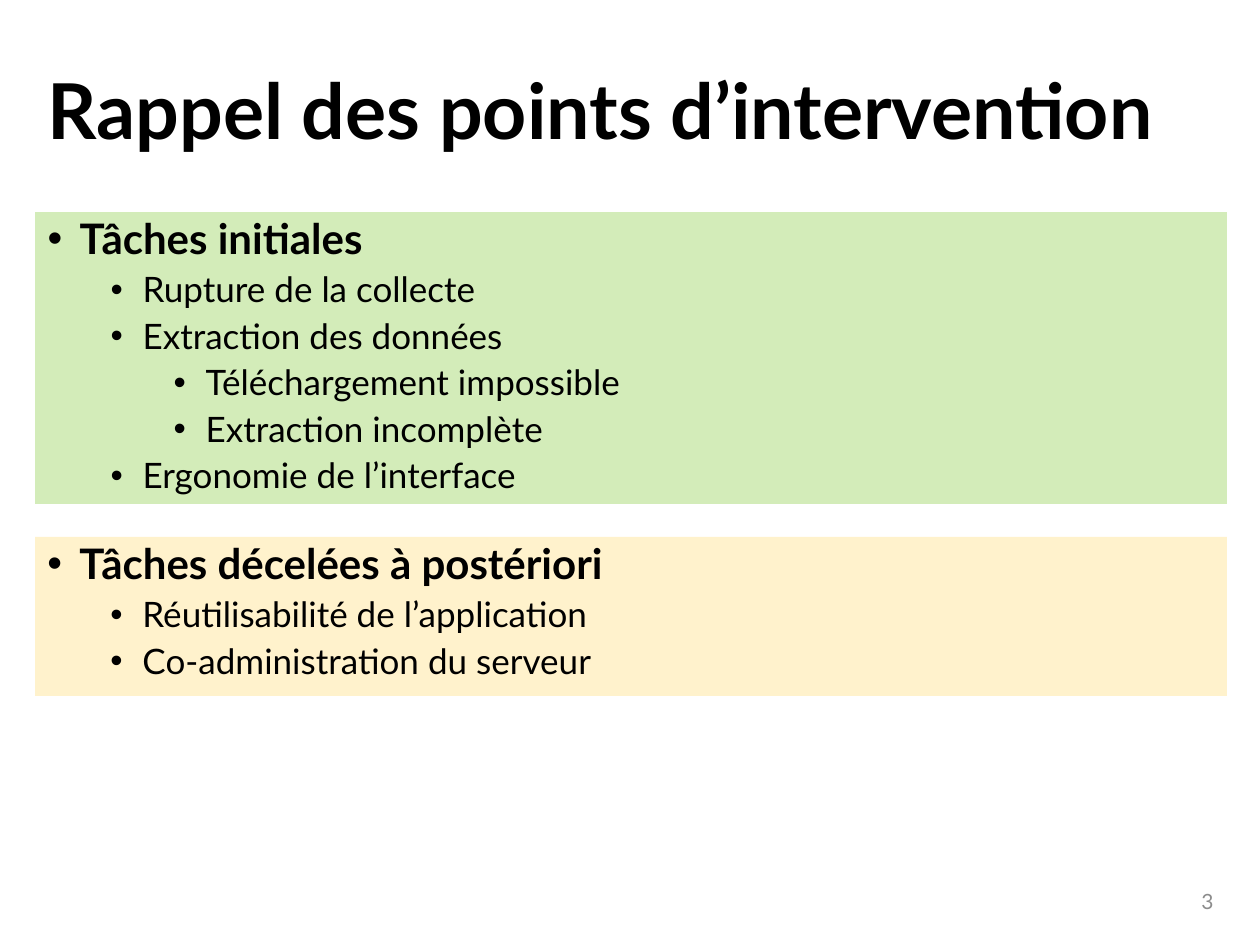
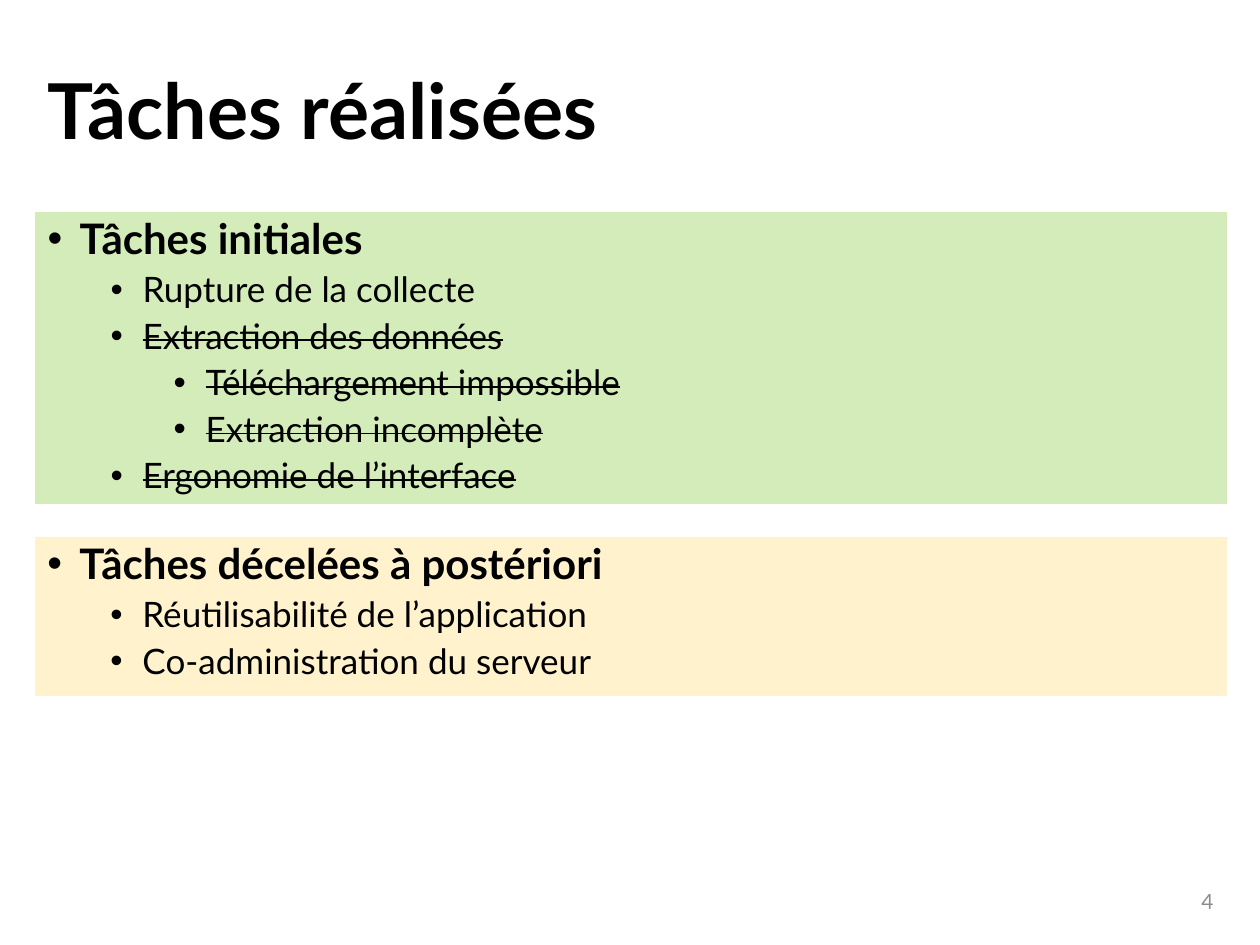
from dataclasses import dataclass

from lxml.etree import SubElement
from pptx import Presentation
from pptx.dml.color import RGBColor
from pptx.enum.text import MSO_ANCHOR, MSO_AUTO_SIZE, PP_ALIGN
from pptx.oxml.ns import qn
from pptx.util import Emu, Pt

# Content: (level, text) lists; one title and set of finished tasks per slide
INITIAL_TASKS = [
    (0, "Tâches initiales"),
    (1, "Rupture de la collecte"),
    (1, "Extraction des données"),
    (2, "Téléchargement impossible"),
    (2, "Extraction incomplète"),
    (1, "Ergonomie de l’interface"),
]
LATER_TASKS = [
    (0, "Tâches décelées à postériori"),
    (1, "Réutilisabilité de l’application"),
    (1, "Co-administration du serveur"),
]
FINISHED_TASKS = {
    "Extraction des données",
    "Téléchargement impossible",
    "Extraction incomplète",
    "Ergonomie de l’interface",
}
SLIDES = [
    ("Rappel des points d’intervention", set()),
    ("Tâches réalisées", FINISHED_TASKS),
]
FIRST_NUMBER = 3


@dataclass(frozen=True)
class Theme:
    font: str = "Lato"
    text: str = "000000"
    muted: str = "8C8C8C"
    initial_fill: str = "D3ECB9"
    later_fill: str = "FFF2CC"
    title_size: int = 44
    heading_size: int = 24
    item_size: int = 20
    number_size: int = 12


THEME = Theme()

# Layout in px, 126 to the inch
PX = 914400 / 126
SLIDE_SIZE = (1260, 945)
LEFT, WIDTH = 35, 1192
TITLE_BOX = (LEFT, 50, WIDTH, 130)
INITIAL_BOX = (LEFT, 212, WIDTH, 292)
LATER_BOX = (LEFT, 537, WIDTH, 159)
NUMBER_BOX = (890, 876, 336, 50)
HANGING, LEVEL_STEP = 32, 63


def px(length):
    return Emu(round(length * PX))


def place(shape, box, anchor, fill=None):
    shape.left, shape.top, shape.width, shape.height = map(px, box)
    frame = shape.text_frame
    frame.word_wrap = True
    frame.auto_size = MSO_AUTO_SIZE.NONE
    frame.vertical_anchor = anchor
    if fill:
        shape.fill.solid()
        shape.fill.fore_color.rgb = RGBColor.from_string(fill)
    return frame


def write(paragraph, text, *, size, color=THEME.text, bold=False, strike=False,
          align=PP_ALIGN.LEFT, line_spacing=0.9, before=0):
    paragraph.alignment = align
    paragraph.line_spacing = line_spacing
    paragraph.space_before = Pt(before)
    paragraph.space_after = Pt(0)
    run = paragraph.add_run()
    run.text = text
    run.font.name = THEME.font
    run.font.size = Pt(size)
    run.font.bold = bold
    run.font.color.rgb = RGBColor.from_string(color)
    if strike:
        run._r.get_or_add_rPr().set("strike", "sngStrike")


def add_bullet(paragraph, level):
    paragraph.level = level
    properties = paragraph._p.get_or_add_pPr()
    properties.set("marL", str(px(level * LEVEL_STEP + HANGING)))
    properties.set("indent", str(-px(HANGING)))
    SubElement(properties, qn("a:buFont")).set("typeface", "Arial")
    SubElement(properties, qn("a:buChar")).set("char", "•")


def fill_task_list(shape, box, tasks, fill, finished):
    frame = place(shape, box, MSO_ANCHOR.TOP, fill)
    for index, (level, text) in enumerate(tasks):
        paragraph = frame.add_paragraph() if index else frame.paragraphs[0]
        heading = level == 0
        write(paragraph, text, bold=heading, strike=text in finished,
              size=THEME.heading_size if heading else THEME.item_size,
              before=10 if heading else 5)
        add_bullet(paragraph, level)


def add_task_slide(presentation, number, title, finished):
    slide = presentation.slides.add_slide(presentation.slide_layouts[1])

    # Title
    frame = place(slide.shapes.title, TITLE_BOX, MSO_ANCHOR.MIDDLE)
    write(frame.paragraphs[0], title, size=THEME.title_size, bold=True)

    # Task lists
    fill_task_list(slide.placeholders[1], INITIAL_BOX, INITIAL_TASKS,
                   THEME.initial_fill, finished)
    later_box = slide.shapes.add_textbox(*map(px, LATER_BOX))
    fill_task_list(later_box, LATER_BOX, LATER_TASKS, THEME.later_fill, finished)

    # Slide number
    number_box = slide.shapes.add_textbox(*map(px, NUMBER_BOX))
    frame = place(number_box, NUMBER_BOX, MSO_ANCHOR.MIDDLE)
    write(frame.paragraphs[0], str(number), size=THEME.number_size,
          color=THEME.muted, align=PP_ALIGN.RIGHT, line_spacing=1.0)


def main():
    presentation = Presentation()
    presentation.slide_width, presentation.slide_height = map(px, SLIDE_SIZE)
    for number, (title, finished) in enumerate(SLIDES, start=FIRST_NUMBER):
        add_task_slide(presentation, number, title, finished)
    presentation.save("out.pptx")


if __name__ == "__main__":
    main()
